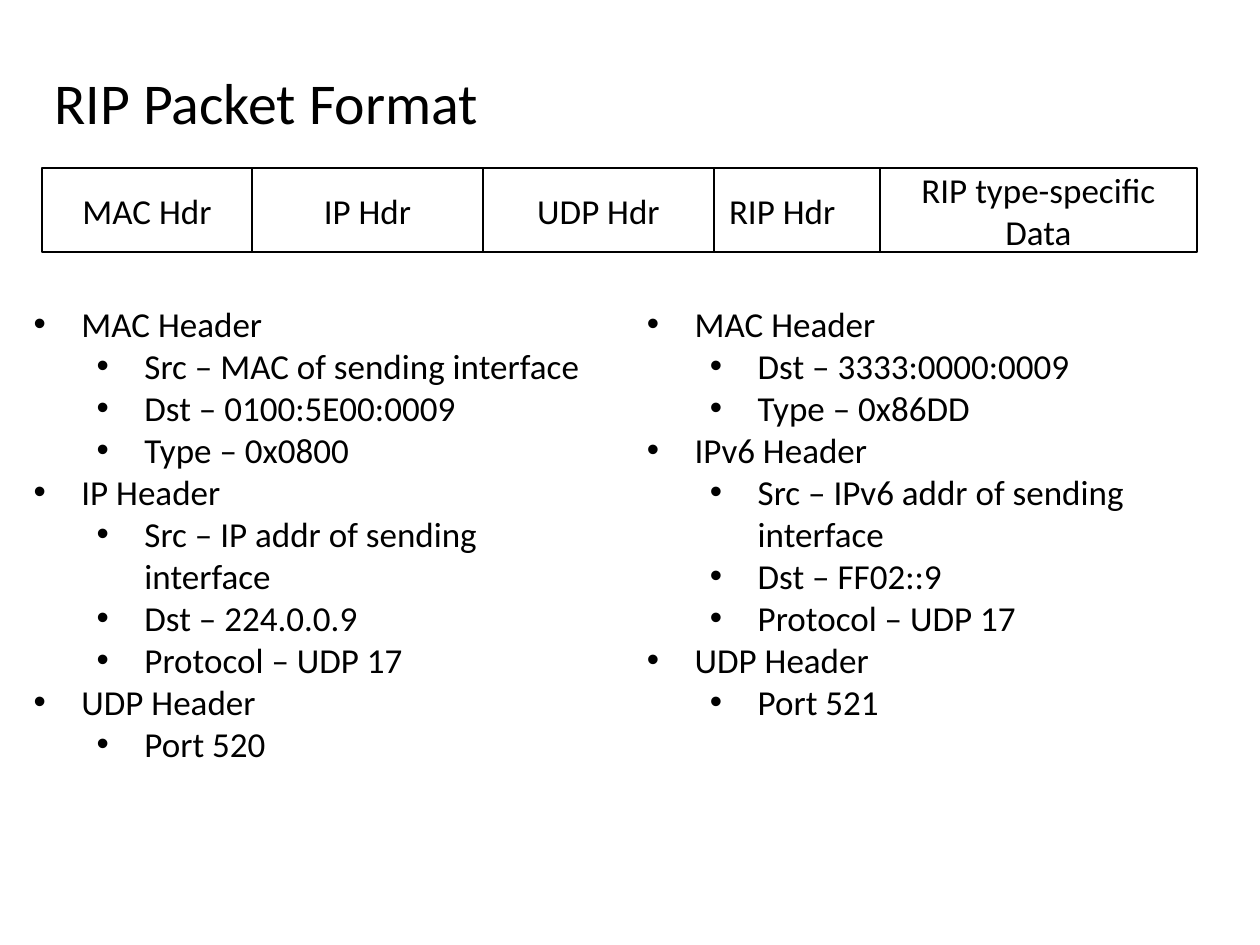
from lxml import etree
from pptx import Presentation, util as u
from pptx.dml.color import RGBColor
from pptx.enum import shapes, text
from pptx.oxml import ns

BLACK = RGBColor(0, 0, 0)
WHITE = RGBColor(255, 255, 255)
CELL = u.Inches(10) / 60
TWO_CONTENT = 3

TITLE_BOX = (2, 2, 51.7, 6.1)
HEADER_TOP, HEADER_HEIGHT = 8, 4
HEADERS = [
    ("MAC Hdr", 2, 10),
    ("IP Hdr", 12, 11),
    ("RIP Hdr", 32.5, 9.5),
    ("RIP type-specific Data", 41.9, 15.1),
    ("UDP Hdr", 23, 11),
]
LEFT_BOX = (1, 14.1, 28.2, 22.8)
LEFT_LIST = [
    ("MAC Header", ["Src – MAC of sending interface", "Dst – 0100:5E00:0009", "Type – 0x0800"]),
    ("IP Header", ["Src – IP addr of sending interface", "Dst – 224.0.0.9", "Protocol – UDP 17"]),
    ("UDP Header", ["Port 520"]),
]
RIGHT_BOX = (30.2, 14.1, 28.8, 20.8)
RIGHT_LIST = [
    ("MAC Header", ["Dst – 3333:0000:0009", "Type – 0x86DD"]),
    ("IPv6 Header", ["Src – IPv6 addr of sending interface", "Dst – FF02::9", "Protocol – UDP 17"]),
    ("UDP Header", ["Port 521"]),
]


def set_values(target, values):
    for name, value in values.items():
        setattr(target, name, value)


def place(shape, box):
    names = ("left", "top", "width", "height")
    set_values(shape, {name: round(cells * CELL) for name, cells in zip(names, box)})


def write(para, words, size, **layout):
    set_values(para, layout)
    span = para.add_run()
    span.text = words
    set_values(span.font, {"name": "Calibri", "size": u.Pt(size)})
    span.font.color.rgb = BLACK


def add_bullet(para):
    properties = para._p.get_or_add_pPr()
    properties.set("marL", str(u.Inches(0.38 + 0.5 * para.level)))
    properties.set("indent", str(u.Inches(-0.38)))
    for tag, name, value in (("a:buFont", "typeface", "Arial"), ("a:buChar", "char", "•")):
        etree.SubElement(properties, ns.qn(tag)).set(name, value)


def fill_title(title, box):
    place(title, box)
    set_values(title.text_frame, {
        "vertical_anchor": text.MSO_ANCHOR.MIDDLE,
        "auto_size": text.MSO_AUTO_SIZE.NONE,
    })
    write(title.text_frame.paragraphs[0], "RIP Packet Format", 33,
          alignment=text.PP_ALIGN.LEFT, line_spacing=0.9)


def add_header(page, words, box):
    header = page.shapes.add_shape(shapes.MSO_SHAPE.RECTANGLE, 0, 0, 0, 0)
    place(header, box)
    header.shadow.inherit = False
    header.fill.solid()
    header.fill.fore_color.rgb = WHITE
    header.line.color.rgb = BLACK
    header.line.width = u.Pt(1)
    set_values(header.text_frame, {
        "vertical_anchor": text.MSO_ANCHOR.MIDDLE,
        "word_wrap": True,
    })
    write(header.text_frame.paragraphs[0], words, 20, alignment=text.PP_ALIGN.CENTER)


def fill_list(body, box, sections):
    place(body, box)
    frame = body.text_frame
    set_values(frame, {"word_wrap": True, "auto_size": text.MSO_AUTO_SIZE.SHAPE_TO_FIT_TEXT})
    lines = [line for heading, fields in sections
             for line in [(heading, 0)] + [(field, 1) for field in fields]]
    for index, (words, level) in enumerate(lines):
        para = frame.add_paragraph() if index else frame.paragraphs[0]
        write(para, words, 20, level=level, space_before=u.Pt(0))
        add_bullet(para)


def main():
    deck = Presentation()
    set_values(deck, {"slide_width": u.Inches(10), "slide_height": u.Inches(7.5)})
    page = deck.slides.add_slide(deck.slide_layouts[TWO_CONTENT])
    fill_title(page.shapes.title, TITLE_BOX)
    for words, left, width in HEADERS:
        add_header(page, words, (left, HEADER_TOP, width, HEADER_HEIGHT))
    fill_list(page.placeholders[1], LEFT_BOX, LEFT_LIST)
    fill_list(page.placeholders[2], RIGHT_BOX, RIGHT_LIST)
    deck.save("out.pptx")


if __name__ == "__main__":
    main()
